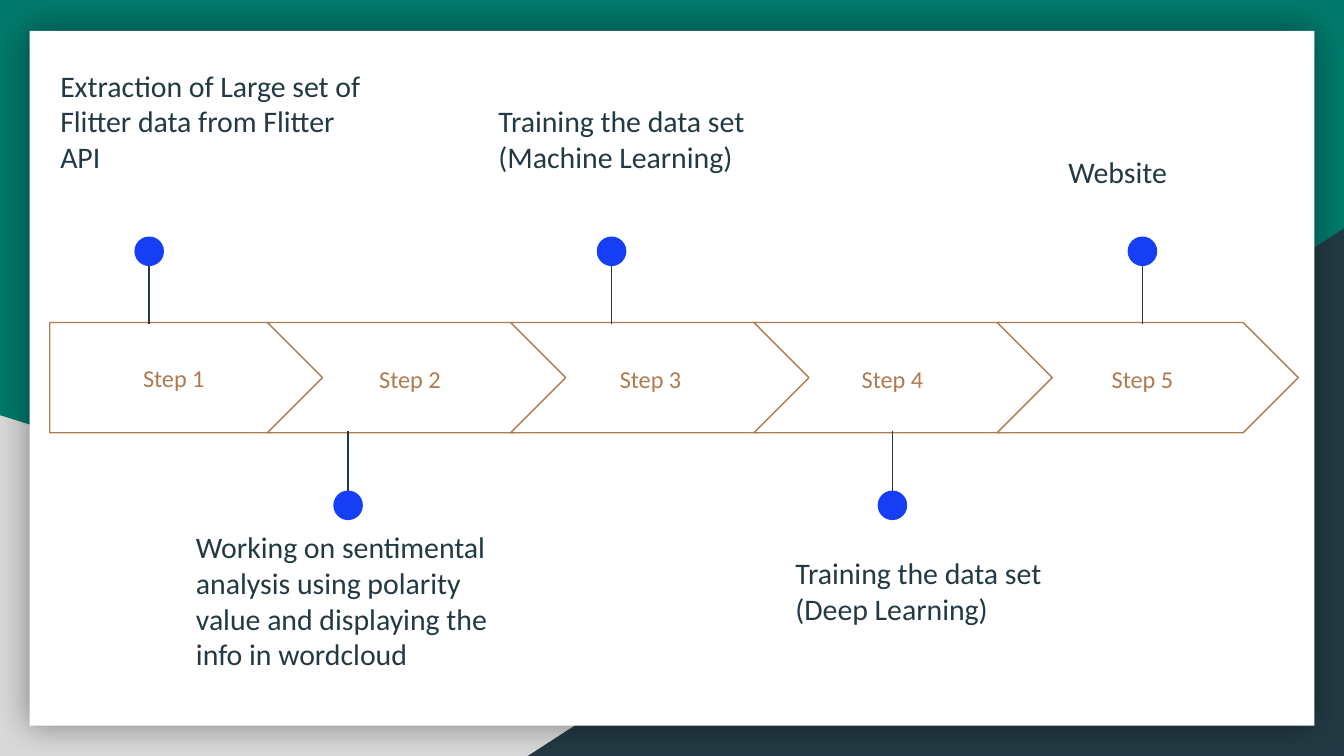
from lxml import etree
from pptx import Presentation
from pptx import util as u
from pptx.dml import color
from pptx.enum import shapes, text
from pptx.oxml import ns

COLORS = {"green": "00796B", "grey": "D9D9D9", "navy": "233A44", "white": "FFFFFF",
          "bronze": "AF7B51", "blue": "163EF5", "black": "000000"}
SHAPE = shapes.MSO_SHAPE


def add_filled(parent, kind, bounds, fill, line=None):
    shape = parent.add_shape(kind, *map(u.Inches, bounds))
    shape.shadow.inherit = False
    shape.fill.solid()
    shape.fill.fore_color.rgb = color.RGBColor.from_string(COLORS[fill])
    if line:
        shape.line.color.rgb = color.RGBColor.from_string(COLORS[line])
        shape.line.width = u.Pt(0.75)
    else:
        shape.line.fill.background()
    return shape


def write(shape, words, size, ink, align, anchor, inset):
    frame = shape.text_frame
    frame.word_wrap = True
    frame.vertical_anchor = anchor
    frame.margin_left = frame.margin_right = u.Inches(inset)
    frame.margin_top = frame.margin_bottom = u.Inches(inset)
    para = frame.paragraphs[0]
    para.alignment = align
    span = para.add_run()
    span.text = words
    span.font.name = "Calibri"
    span.font.size = u.Pt(size)
    span.font.color.rgb = color.RGBColor.from_string(COLORS[ink])


deck = Presentation()
deck.slide_width = u.Inches(10)
deck.slide_height = u.Inches(10) * 9 // 16
page = deck.slides.add_slide(deck.slide_layouts[6])
page.background.fill.solid()
page.background.fill.fore_color.rgb = color.RGBColor.from_string(COLORS["green"])

# Backdrop: two corner triangles under a white panel with a soft shadow
add_filled(page.shapes, SHAPE.RIGHT_TRIANGLE, (0, 3.09, 8.06, 2.54), "grey")
corner = add_filled(page.shapes, SHAPE.RIGHT_TRIANGLE, (3.92, 1.7, 6.08, 3.93), "navy")
corner._element.spPr.find(ns.qn("a:xfrm")).set("flipH", "1")
panel = add_filled(page.shapes, SHAPE.RECTANGLE, (0.22, 0.23, 9.56, 5.17), "white")
effects = panel._element.spPr.find(ns.qn("a:effectLst"))
shadow = etree.SubElement(effects, ns.qn("a:outerShdw"), blurRad=str(u.Pt(18)),
                          dist="0", dir="0", algn="ctr", rotWithShape="0")
tint = etree.SubElement(shadow, ns.qn("a:srgbClr"), val=COLORS["black"])
etree.SubElement(tint, ns.qn("a:alpha"), val="40000")

# Label left, pin centre, note text, note bounds
steps = [
    (None, 1.11, "Extraction of Large set of Flitter data from Flitter API",
     (0.35, 0.41, 2.45, 0.99)),
    (2.33, 2.59, "Working on sentimental analysis using polarity value and "
     "displaying the info in wordcloud", (1.36, 4.11, 2.45, 0.99)),
    (4.12, 4.55, "Training the data set (Machine Learning)", (3.61, 0.41, 2.45, 0.99)),
    (5.92, 6.64, "Training the data set (Deep Learning)", (5.82, 4.11, 2.24, 0.65)),
    (7.78, 8.5, "Website", (7.85, 0.52, 1.91, 0.99)),
]
ARROW_TOP, ARROW_HEIGHT, ARROW_PITCH = 2.4, 0.82, 1.81
DOT = 0.22

for index, (label_left, pin_x, note, note_bounds) in enumerate(steps):
    first = index == 0
    left, width = (0.37, 2.05) if first else (1.99 + (index - 1) * ARROW_PITCH, 2.24)
    arrow = add_filled(page.shapes, SHAPE.PENTAGON if first else SHAPE.CHEVRON,
                       (left, ARROW_TOP, width, ARROW_HEIGHT), "white", "bronze")
    arrow.adjustments[0] = 0.5
    label = arrow if first else page.shapes.add_textbox(
        *map(u.Inches, (label_left, 2.56, 1.44, 0.51)))
    write(label, f"Step {index + 1}", 13, "bronze", text.PP_ALIGN.CENTER,
          text.MSO_ANCHOR.MIDDLE, 0.13 if first else 0.1)

    # Pins alternate above and below the arrows
    above = index % 2 == 0
    dot_top, start, end = (1.76, 1.8, 2.41) if above else (3.65, 3.82, 3.21)
    pin = page.shapes.add_group_shape()
    stem = pin.shapes.add_connector(shapes.MSO_CONNECTOR.STRAIGHT,
                                    *map(u.Inches, (pin_x, start, pin_x, end)))
    stem.line.color.rgb = color.RGBColor.from_string(COLORS["navy"])
    stem.line.width = u.Pt(0.75)
    etree.SubElement(stem._element.spPr, ns.qn("a:effectLst"))
    add_filled(pin.shapes, SHAPE.OVAL, (pin_x - DOT / 2, dot_top, DOT, DOT), "blue")

    box = page.shapes.add_textbox(*map(u.Inches, note_bounds))
    write(box, note, 16, "navy", text.PP_ALIGN.LEFT, text.MSO_ANCHOR.BOTTOM, 0.1)

deck.save("out.pptx")
